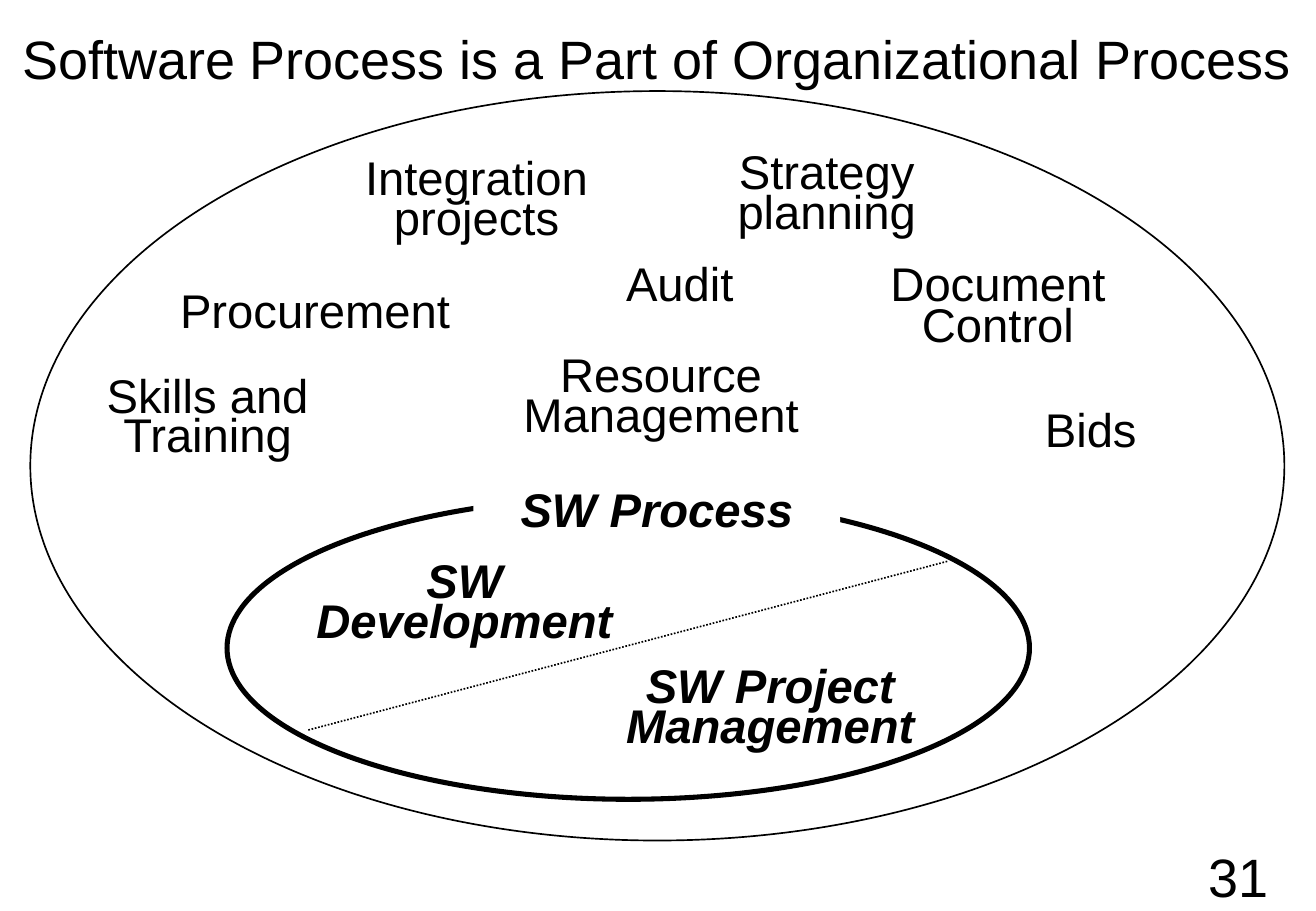
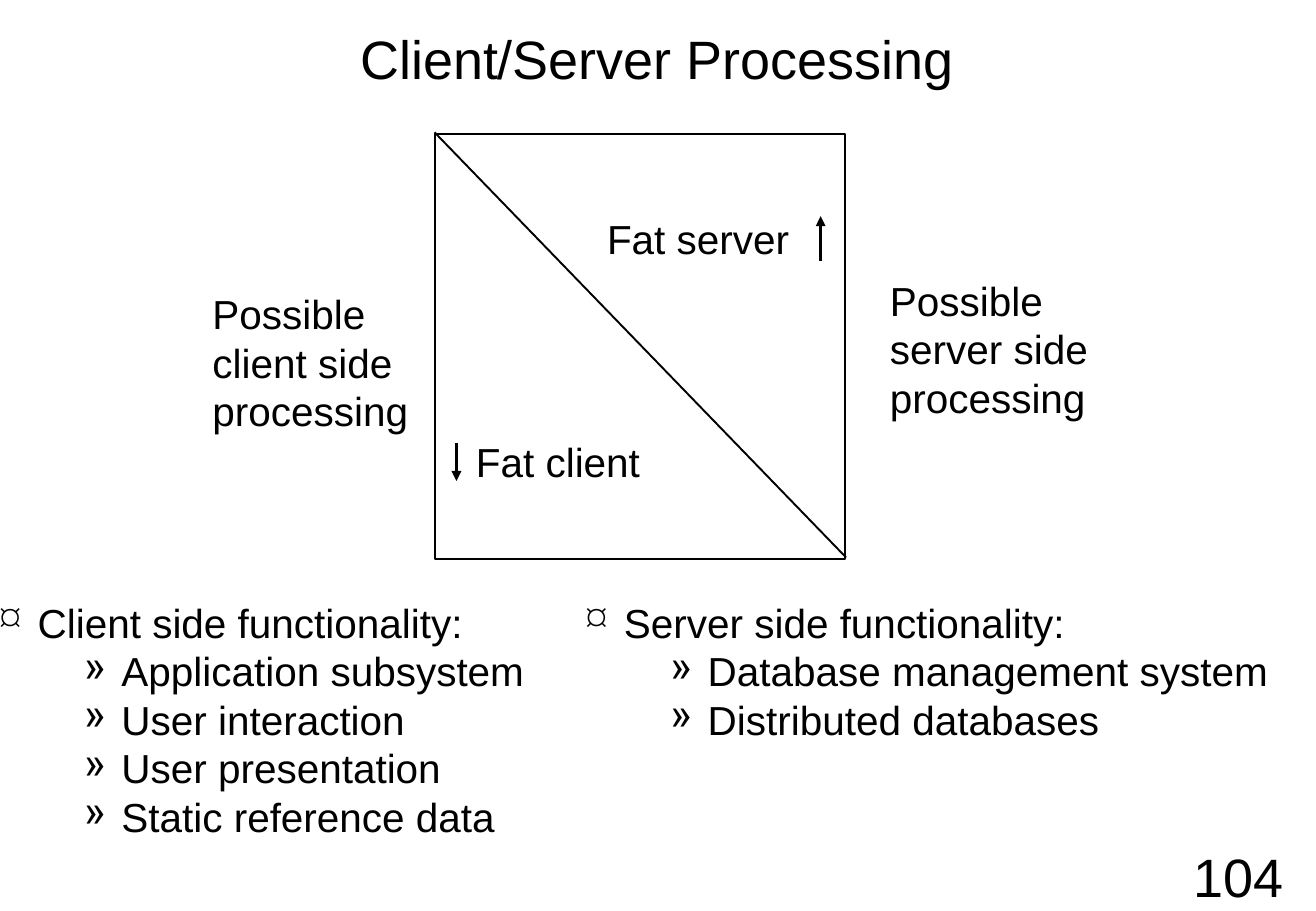
import pptx
import pptx.util
import pptx.dml.color
import pptx.enum.dml
import pptx.enum.shapes
import pptx.enum.text
import pptx.oxml.ns
from lxml import etree

PX = 9144
ALIGN = pptx.enum.text.PP_ALIGN
ANCHOR = pptx.enum.text.MSO_ANCHOR
SHAPE = pptx.enum.shapes.MSO_SHAPE


def px(*lengths):
    return [pptx.util.Emu(length * PX) for length in lengths]


def color(value):
    return pptx.dml.color.RGBColor.from_string(value)


def apply(target, values):
    for name, value in values.items():
        setattr(target, name, value)


class Painter:
    ink = "000000"
    paper = "FFFFFF"
    font = "Arial"
    inset = (10, 5)
    bullets = ("¤", "»")
    bullet_margins = (31, 100)
    bullet_hang = 31

    def __init__(self, width, height):
        self.deck = pptx.Presentation()
        apply(self.deck, dict(zip(("slide_width", "slide_height"), px(width, height))))
        self.page = None

    def new_page(self, title, number):
        self.page = self.deck.slides.add_slide(self.deck.slide_layouts[6])
        heading = {"size": 32, "align": ALIGN.CENTER, "anchor": ANCHOR.MIDDLE}
        self.text(number, 958, 692, 125, 58, **heading)
        self.text(title, 0, 0, 1083, 96, **heading)

    def fill_text(self, box, text, size, align=ALIGN.LEFT, anchor=ANCHOR.TOP,
                  spacing=1.0, before=0, inset=inset, strong=False):
        frame = box.text_frame
        across, down = px(*inset)
        apply(frame, {"word_wrap": True, "vertical_anchor": anchor,
                      "margin_left": across, "margin_right": across,
                      "margin_top": down, "margin_bottom": down})
        for index, line in enumerate(text.split("\n")):
            para = frame.add_paragraph() if index else frame.paragraphs[0]
            apply(para, {"alignment": align, "line_spacing": spacing,
                         "space_before": pptx.util.Pt(before if index else 0)})
            span = para.add_run()
            span.text = line
            apply(span.font, {"name": self.font, "size": pptx.util.Pt(size),
                              "bold": strong, "italic": strong})
            span.font.color.rgb = color(self.ink)
        return box

    def text(self, text, left, top, width, height, **style):
        box = self.page.shapes.add_textbox(*px(left, top, width, height))
        return self.fill_text(box, text, **style)

    def shape(self, kind, left, top, width, height, line=None, fill=None):
        box = self.page.shapes.add_shape(kind, *px(left, top, width, height))
        box.shadow.inherit = False
        if fill:
            box.fill.solid()
            box.fill.fore_color.rgb = color(fill)
        else:
            box.fill.background()
        if line:
            self.outline(box.line, line)
        else:
            box.line.fill.background()
        return box

    def outline(self, line, width):
        line.color.rgb = color(self.ink)
        line.width = pptx.util.Pt(width)

    def line(self, start, end, width, dash=None, arrow=False):
        kind = pptx.enum.shapes.MSO_CONNECTOR.STRAIGHT
        connector = self.page.shapes.add_connector(kind, *px(*start, *end))
        self.outline(connector.line, width)
        if dash:
            connector.line.dash_style = dash
        properties = connector._element.spPr
        if arrow:
            stroke = properties.find(pptx.oxml.ns.qn("a:ln"))
            etree.SubElement(stroke, pptx.oxml.ns.qn("a:tailEnd"), type="triangle")
        etree.SubElement(properties, pptx.oxml.ns.qn("a:effectLst"))

    def bullet_list(self, heading, items, left, top, width, height):
        box = self.text("\n".join([heading, *items]), left, top, width, height,
                        size=24, inset=(0, 0))
        for index, para in enumerate(box.text_frame.paragraphs):
            para.level = min(index, 1)
            properties = para._p.get_or_add_pPr()
            properties.set("marL", str(self.bullet_margins[para.level] * PX))
            properties.set("indent", str(-self.bullet_hang * PX))
            etree.SubElement(properties, pptx.oxml.ns.qn("a:buChar"),
                             char=self.bullets[para.level])


def draw_process(painter):
    painter.new_page("Software Process is a Part of Organizational Process", "31")
    label = {"size": 28, "align": ALIGN.CENTER, "spacing": 0.7}
    strong = {**label, "strong": True}
    painter.shape(SHAPE.OVAL, 25, 75, 1033, 617, line=1)
    for text, left, top, width, height in (
        ("Resource Management", 376, 292, 337, 75),
        ("Integration\nprojects", 268, 130, 249, 75),
        ("Procurement", 120, 239, 279, 42),
        ("Strategy planning", 553, 125, 256, 75),
        ("Audit", 443, 217, 234, 42),
        ("Bids", 821, 337, 155, 42),
        ("Skills and\nTraining", 66, 309, 210, 75),
    ):
        painter.text(text, left, top, width, height, **label)
    painter.text("Document\nControl", 673, 225, 298, 75,
                 **{**label, "spacing": 0.2, "before": 17.5, "anchor": ANCHOR.MIDDLE})

    painter.shape(SHAPE.OVAL, 187, 409, 661, 249, line=3)
    gap = painter.shape(SHAPE.RECTANGLE, 390, 403, 302, 42, fill=painter.paper)
    painter.fill_text(gap, "SW Process", **strong)
    painter.text("SW Project\nManagement", 443, 548, 383, 75, **strong)
    painter.text("SW\nDevelopment", 214, 462, 337, 75, **strong)
    painter.line((254, 601), (781, 462), 1, dash=pptx.enum.dml.MSO_LINE.ROUND_DOT)


def draw_client_server(painter):
    painter.new_page("Client/Server Processing", "104")
    painter.bullet_list(
        "Client side functionality:",
        ["Application subsystem", "User interaction", "User presentation",
         "Static reference data"],
        0, 492, 442, 258)
    painter.bullet_list(
        "Server side functionality:",
        ["Database management system", "Distributed databases"],
        483, 492, 600, 258)

    painter.shape(SHAPE.RECTANGLE, 358, 110, 338, 350, line=1.13)
    painter.line((358, 109), (697, 459), 1.13)
    painter.line((676, 215), (676, 178), 1.5, arrow=True)
    painter.line((376, 365), (376, 396), 1.5, arrow=True)
    for text, left, top, height, align in (
        ("Possible client side processing", 175, 238, 120, ALIGN.LEFT),
        ("Possible server side processing", 733, 227, 120, ALIGN.LEFT),
        ("Fat client", 392, 360, 40, ALIGN.LEFT),
        ("Fat server", 475, 176, 40, ALIGN.RIGHT),
    ):
        painter.text(text, left, top, 175, height, size=24, align=align, inset=(0, 0))


def main():
    painter = Painter(1084, 750)
    draw_process(painter)
    draw_client_server(painter)
    painter.deck.save("out.pptx")


if __name__ == "__main__":
    main()
